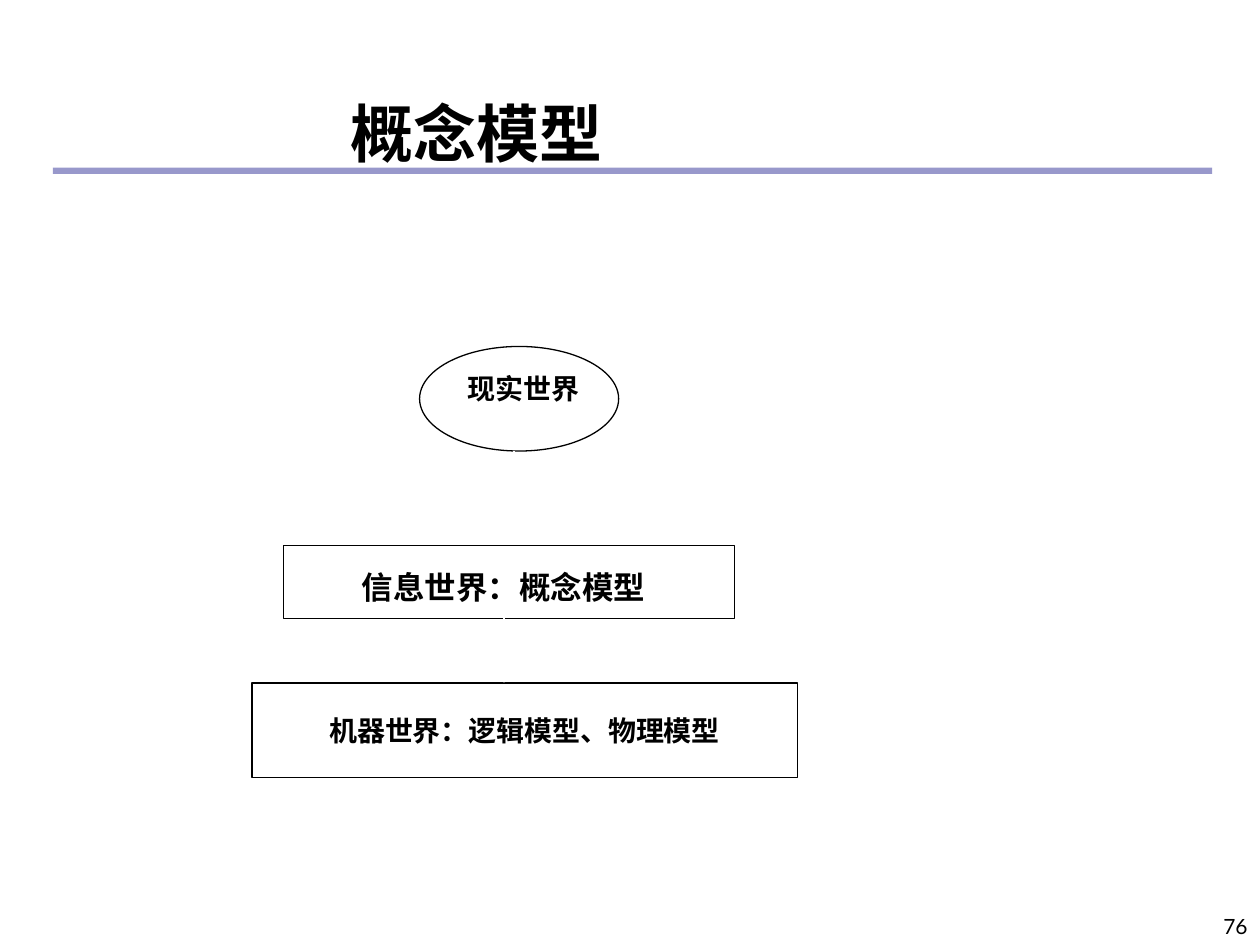
"""Build the slide on conceptual models across three worlds."""
from lxml import etree
from pptx import Presentation
from pptx.dml.color import RGBColor
from pptx.enum.shapes import MSO_CONNECTOR, MSO_SHAPE
from pptx.enum.text import MSO_ANCHOR, PP_ALIGN
from pptx.oxml.ns import qn
from pptx.util import Inches, Pt

RECT, OVAL = MSO_SHAPE.RECTANGLE, MSO_SHAPE.OVAL
LINE = MSO_CONNECTOR.STRAIGHT
MIDDLE, BOTTOM = MSO_ANCHOR.MIDDLE, MSO_ANCHOR.BOTTOM
CENTER, RIGHT = PP_ALIGN.CENTER, PP_ALIGN.RIGHT
SANS, SERIF = "Lato", "Times New Roman"


def color(code):
    return RGBColor.from_string(code)


def write(para, text, size, face, bold=True):
    run = para.add_run()
    run.text = text
    run.font.size = Pt(size)
    run.font.name = face
    run.font.bold = bold
    run.font.color.rgb = color("000000")


deck = Presentation()
deck.slide_width, deck.slide_height = Inches(10), Inches(7.5)
slide = deck.slides.add_slide(deck.slide_layouts[6])
shapes = slide.shapes

rule = shapes.add_shape(RECT, Inches(0.42), Inches(1.33), Inches(9.2), Inches(0.05))
rule.shadow.inherit = False
rule.fill.solid()
rule.fill.fore_color.rgb = color("333399")
rule.line.fill.background()
tint = rule.fill._xPr.find(qn("a:solidFill"))[0]
etree.SubElement(tint, qn("a:alpha")).set("val", "50000")

number = shapes.add_textbox(Inches(7.92), Inches(7), Inches(2.08), Inches(0.5)).text_frame
number.word_wrap = True
number.vertical_anchor = BOTTOM
number.paragraphs[0].alignment = RIGHT
write(number.paragraphs[0], "76", 12, SANS, False)

title = shapes.add_textbox(Inches(2.68), Inches(0.7), Inches(2.27), Inches(0.7)).text_frame
title.word_wrap = False
write(title.paragraphs[0], "概念模型", 36, SANS)

worlds = [
    (OVAL, (3.33, 2.75, 1.58, 0.83), (0.17, 0.05, 0.1, 0.21), 16,
     [("现实世界", SERIF)]),
    (RECT, (2.25, 4.33, 3.58, 0.58), (0.1, 0.13, 0.19, 0.05), 18,
     [("信息世界：", SANS), ("概念模型", SERIF)]),
    (RECT, (2, 5.42, 4.33, 0.75), (0.1, 0.05, 0.1, 0.05), 16,
     [("机器世界：逻辑模型、物理模型", SANS)]),
]
for kind, place, inset, size, parts in worlds:
    world = shapes.add_shape(kind, *map(Inches, place))
    world.shadow.inherit = False
    world.fill.solid()
    world.fill.fore_color.rgb = color("FFFFFF")
    world.line.color.rgb = color("000000")
    world.line.width = Pt(0.75)
    frame = world.text_frame
    frame.word_wrap = False
    frame.vertical_anchor = MIDDLE
    frame.margin_left, frame.margin_top, frame.margin_right, frame.margin_bottom = map(Inches, inset)
    frame.paragraphs[0].alignment = CENTER
    for text, face in parts:
        write(frame.paragraphs[0], text, size, face)

for x, top, end in [(4.08, 3.58, 4.25), (4, 4.75, 5.42)]:
    arrow = shapes.add_connector(LINE, Inches(x), Inches(top), Inches(x), Inches(end))
    arrow.line.color.rgb = color("FFFFFF")
    arrow.line.width = Pt(0.75)
    etree.SubElement(arrow.line._get_or_add_ln(), qn("a:tailEnd")).set("type", "triangle")
    etree.SubElement(arrow._element.spPr, qn("a:effectLst"))

deck.save("out.pptx")
